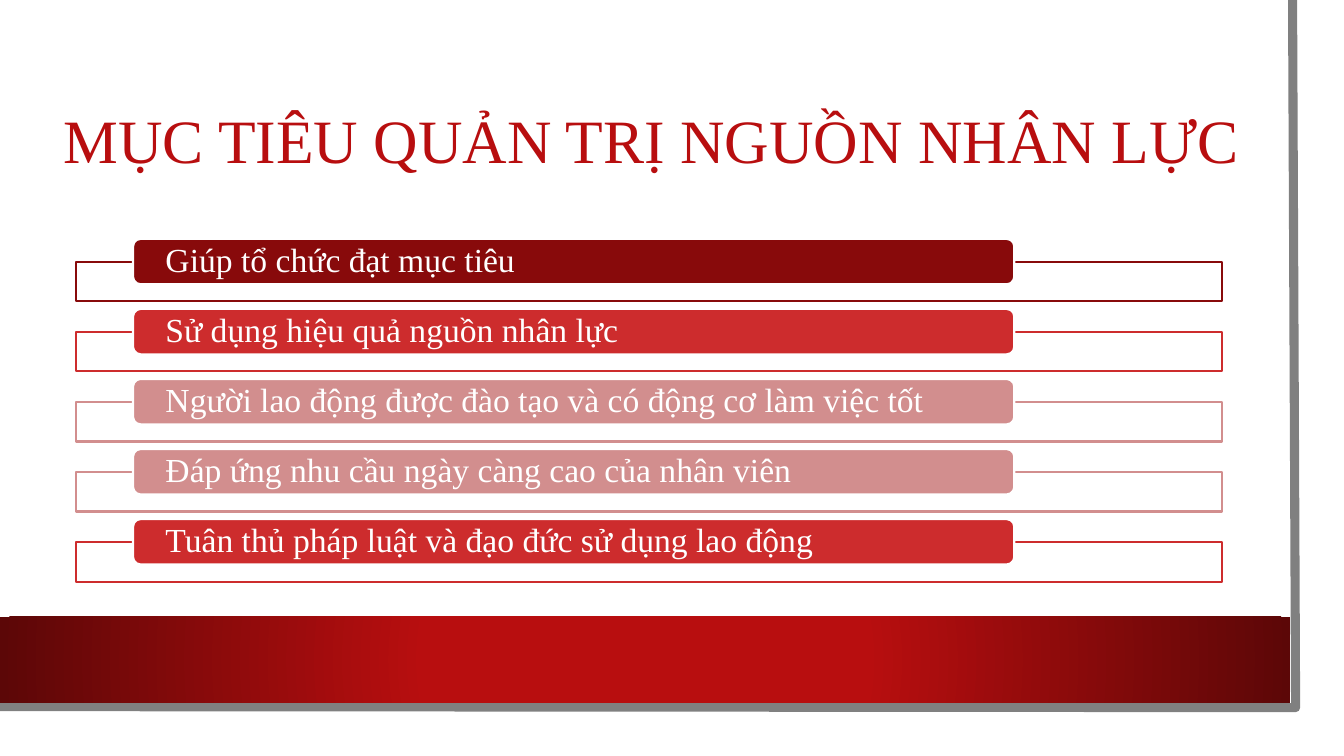
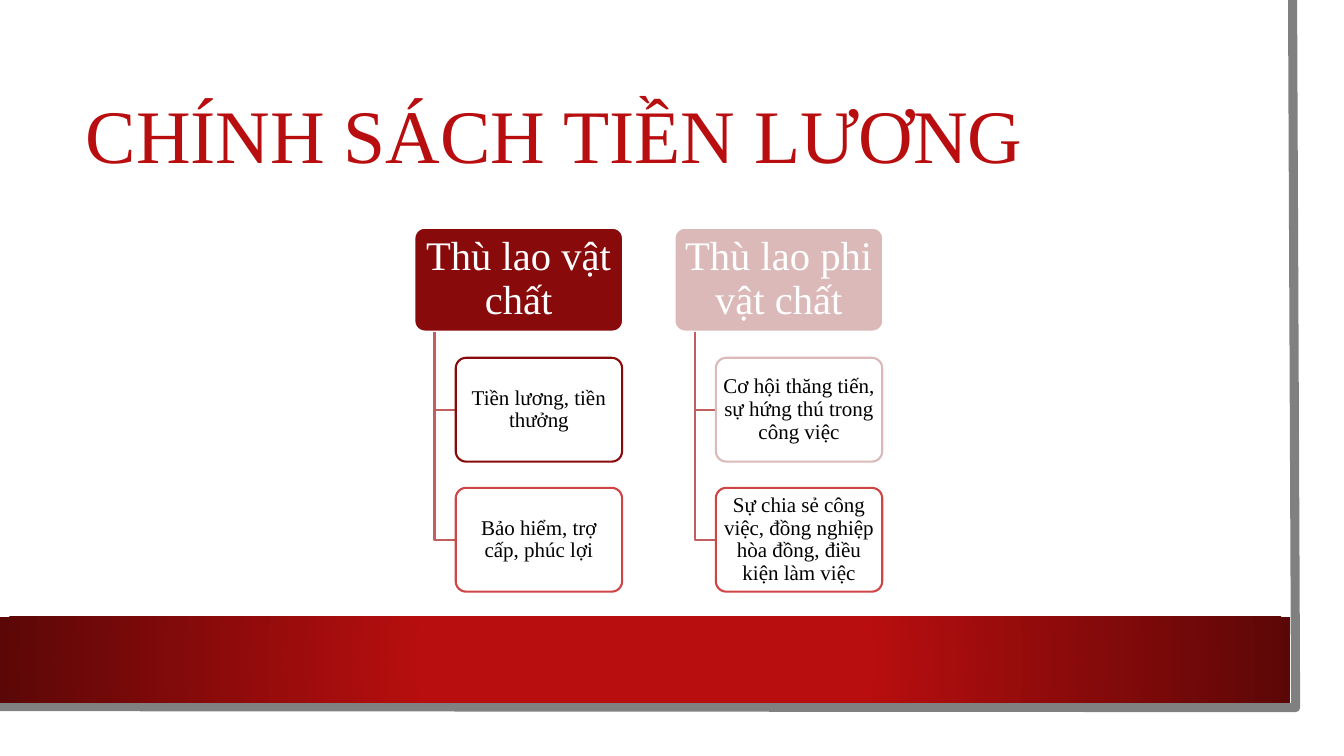
"""Build two slides on human resource goals and pay policy."""
from dataclasses import dataclass

from pptx import Presentation
from pptx.dml.color import RGBColor
from pptx.enum.shapes import MSO_SHAPE as SHAPE
from pptx.enum.text import MSO_ANCHOR as ANCHOR, MSO_AUTO_SIZE as FIT, PP_ALIGN as ALIGN
from pptx.oxml import parse_xml
from pptx.oxml.ns import nsdecls, qn
from pptx.util import Inches, Pt


@dataclass(frozen=True)
class Theme:
    """Colours, font and type sizes."""
    font: str = "Times New Roman"
    red: str = "B80E0F"
    shade: str = "5C0707"
    edge: str = "808080"
    dark: str = "880A0B"
    bright: str = "CD2C2D"
    medium: str = "CF4445"
    rose: str = "D28E8E"
    pale: str = "DBB9B9"
    branch: str = "C15E5E"
    white: str = "FFFFFF"
    black: str = "000000"
    goal: int = 24
    head: int = 29
    item: int = 15
    line: float = 1.5
    edge_line: float = 6.5


T = Theme()

GOALS_TITLE = dict(text="MỤC TIÊU QUẢN TRỊ NGUỒN NHÂN LỰC", size=44, left=0.53, width=12.05, spacing=1.0)
GOALS = [
    ("Giúp tổ chức đạt mục tiêu", T.dark),
    ("Sử dụng hiệu quả nguồn nhân lực", T.bright),
    ("Người lao động được đào tạo và có động cơ làm việc tốt", T.rose),
    ("Đáp ứng nhu cầu ngày càng cao của nhân viên", T.rose),
    ("Tuân thủ pháp luật và đạo đức sử dụng lao động", T.bright),
]
PAY_TITLE = dict(text="CHÍNH SÁCH TIỀN LƯƠNG", size=54, left=0.75, width=11.37, spacing=0.9)
PAY = [
    ("Thù lao vật chất", T.dark, [
        ("Tiền lương, tiền thưởng", T.dark),
        ("Bảo hiểm, trợ cấp, phúc lợi", T.medium),
    ]),
    ("Thù lao phi vật chất", T.pale, [
        ("Cơ hội thăng tiến, sự hứng thú trong công việc", T.pale),
        ("Sự chia sẻ công việc, đồng nghiệp hòa đồng, điều kiện làm việc", T.medium),
    ]),
]


def apply(obj, **values):
    """Set each given attribute on an object."""
    for name, value in values.items():
        setattr(obj, name, value)


def place(sp, *box):
    """Move and size a shape in inches."""
    apply(sp, **dict(zip(("left", "top", "width", "height"), map(Inches, box))))


def paint(sp, fill=None, line=None, width=T.line):
    """Give a shape its fill and outline without a shadow."""
    sp.shadow.inherit = False
    for part, colour in ((sp.fill, fill), (sp.line.fill, line)):
        if colour:
            part.solid()
            part.fore_color.rgb = RGBColor.from_string(colour)
        else:
            part.background()
    if line:
        sp.line.width = Pt(width)


def write(sp, text, size, colour, align=ALIGN.LEFT, spacing=0.9, inset=(0.1, 0.05)):
    """Put one formatted paragraph in a shape."""
    x, y = map(Inches, inset)
    tf = sp.text_frame
    apply(tf, word_wrap=True, auto_size=FIT.NONE, vertical_anchor=ANCHOR.MIDDLE,
          margin_left=x, margin_right=x, margin_top=y, margin_bottom=y)
    p = tf.paragraphs[0]
    apply(p, alignment=align, line_spacing=spacing)
    r = p.add_run()
    r.text = text
    apply(r.font, name=T.font, size=Pt(size))
    r.font.color.rgb = RGBColor.from_string(colour)


def add_box(s, kind, box, fill, line=None):
    """Add a painted preset shape."""
    sp = s.shapes.add_shape(kind, *map(Inches, box))
    paint(sp, fill, line)
    return sp


def add_path(s, points, colour, width=T.line):
    """Add an open outline through points in inches."""
    start, *rest = [(Inches(x), Inches(y)) for x, y in points]
    builder = s.shapes.build_freeform(*start)
    builder.add_line_segments(rest, close=False)
    sp = builder.convert_to_shape()
    paint(sp, None, colour, width)
    return sp


def decorate(layout, s):
    """Draw the page edge and bottom band and place them on the layout."""
    edge = add_path(s, [(12.82, 0), (12.85, 7.02), (-0.03, 7.01)], T.edge, T.edge_line)
    band = add_box(s, SHAPE.RECTANGLE, (0, 6.12, 12.8, 0.85), T.red)
    band.fill.gradient()
    for stop, position, colour in zip(band.fill.gradient_stops, (0.34, 1), (T.red, T.shade)):
        stop.position = position
        stop.color.rgb = RGBColor.from_string(colour)
    grad = band.element.spPr.find(qn("a:gradFill"))
    grad.replace(grad.find(qn("a:lin")), parse_xml(
        f'<a:path {nsdecls("a")} path="circle">'
        '<a:fillToRect l="50000" t="50000" r="50000" b="50000"/></a:path>'))
    for i, sp in enumerate((edge, band)):
        sp.element.nvSpPr.cNvPr.set("id", str(101 + i))
        layout.shapes.element.insert(2 + i, sp.element)


def add_titled(prs, layout, title):
    """Add a slide with its formatted title."""
    s = prs.slides.add_slide(layout)
    sp = s.shapes.title
    place(sp, title["left"], 0.75, title["width"], 1.26)
    write(sp, title["text"], title["size"], T.red, spacing=title["spacing"])
    return s


def add_goals(s):
    """Draw the list of goals as bars over frames."""
    first, last = 2.6, 5.38
    pitch = (last - first) / (len(GOALS) - 1)
    for i, (text, colour) in enumerate(GOALS):
        top = first + i * pitch
        add_box(s, SHAPE.RECTANGLE, (0.75, top, 11.37, 0.39), T.white, colour)
        bar = add_box(s, SHAPE.ROUNDED_RECTANGLE, (1.32, top - 0.23, 8.74, 0.45), colour, T.white)
        write(bar, text, T.goal, T.white, inset=(0.3, 0))


def add_card(s, box, fill, line, text, size, colour, inset):
    """Add a rounded card with centred text."""
    sp = add_box(s, SHAPE.ROUNDED_RECTANGLE, box, fill, line)
    sp.adjustments[0] = 0.1
    write(sp, text, size, colour, ALIGN.CENTER, inset=inset)


def add_pay(s):
    """Draw the two kinds of pay with their branches."""
    top, height, row_pitch, column_pitch = 2.26, 1.03, 1.29, 2.58
    for column, (head, colour, items) in enumerate(PAY):
        left = 4.11 + column * column_pitch
        trunk, item_left = left + 0.2, left + 0.41
        add_card(s, (left, top, 2.07, height), colour, T.white, head, T.head, T.white, (0.06, 0.04))
        for row, (text, outline) in enumerate(items, 1):
            item_top = top + row * row_pitch
            middle = item_top + height / 2
            add_path(s, [(trunk, top + height), (trunk, middle), (item_left, middle)], T.branch)
            add_card(s, (item_left, item_top, 1.65, height), T.white, outline,
                     text, T.item, T.black, (0.03, 0.02))


def main():
    """Build and save the presentation."""
    prs = Presentation()
    apply(prs, slide_width=Inches(13.33), slide_height=Inches(7.5))
    layout = prs.slide_layouts[5]
    goals = add_titled(prs, layout, GOALS_TITLE)
    decorate(layout, goals)
    add_goals(goals)
    add_pay(add_titled(prs, layout, PAY_TITLE))
    prs.save("out.pptx")


if __name__ == "__main__":
    main()
